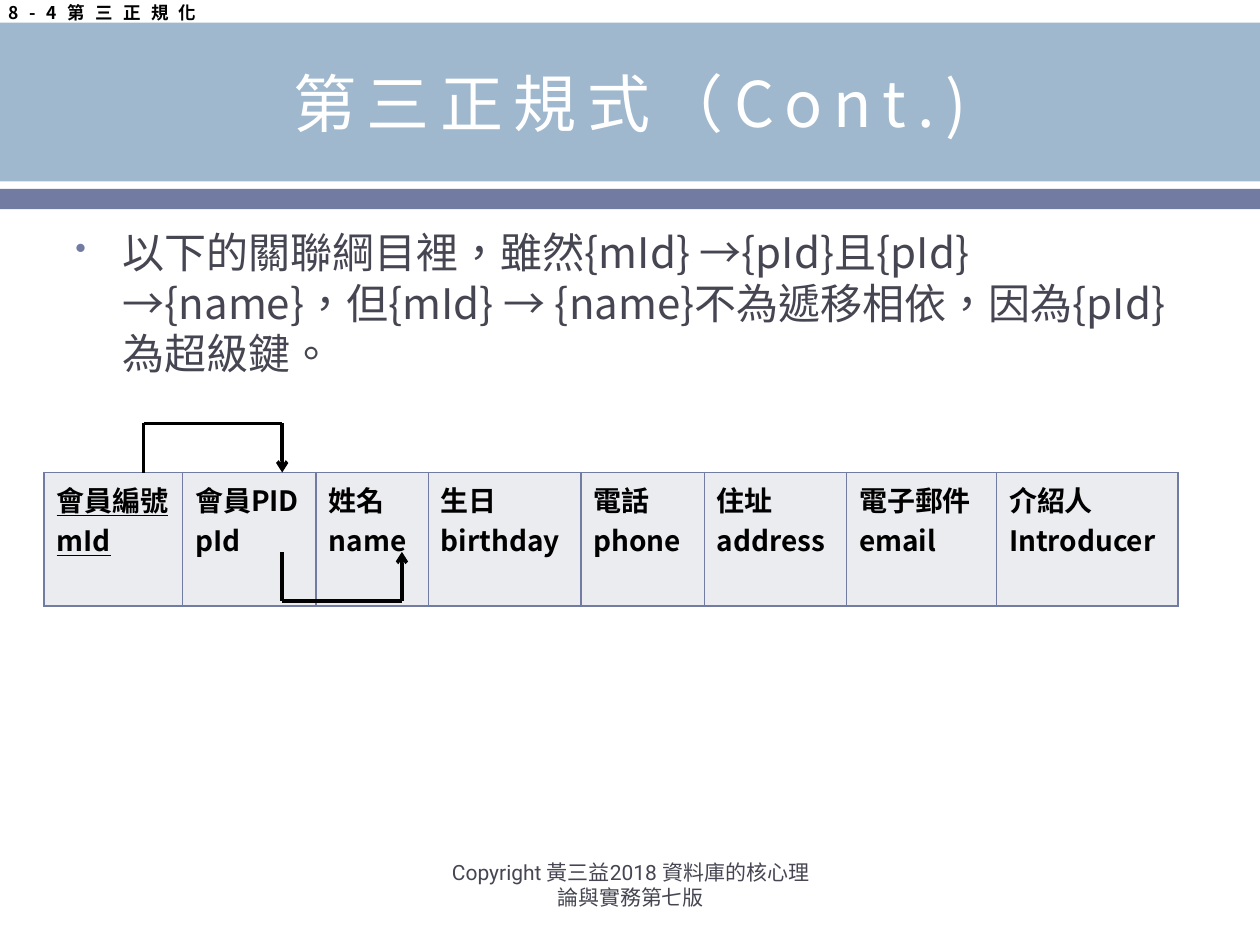
import pptx
import pptx.dml.color
import pptx.enum.shapes
import pptx.enum.text
import pptx.oxml
import pptx.oxml.ns
import pptx.util
from lxml import etree

RGBColor = pptx.dml.color.RGBColor
BLUE = RGBColor(0x9F, 0xB8, 0xCD)
INDIGO = RGBColor(0x72, 0x7C, 0xA3)
SLATE = RGBColor(0x46, 0x46, 0x53)
PALE = RGBColor(0xEB, 0xEC, 0xF0)
WHITE = RGBColor(0xFF, 0xFF, 0xFF)
BLACK = RGBColor(0, 0, 0)
CJK = "Noto Sans CJK SC"
LATIN = "Roboto"
qn = pptx.oxml.ns.qn
ALIGN = pptx.enum.text.PP_ALIGN
ANCHOR = pptx.enum.text.MSO_ANCHOR

deck = pptx.Presentation()
deck.slide_width = pptx.util.Inches(10)
deck.slide_height = pptx.util.Inches(7.5)
page = deck.slides.add_slide(deck.slide_layouts[6])

# Square grid: 100 columns by 75 rows
UNIT = deck.slide_width / 100


def grid(*cells):
    return [round(cell * UNIT) for cell in cells]


def style(font, name, size, color, bold=False, spacing=0):
    font.size = pptx.util.Pt(size)
    font.bold = bold
    font.color.rgb = color
    font.name = name
    etree.SubElement(font._element, qn("a:ea"), typeface=name)
    font._element.set("lang", "zh-TW")
    if spacing:
        font._element.set("spc", str(spacing * 100))


# Title bands
for top, height, color in ((1.8, 12.6, BLUE), (15, 1.6, INDIGO)):
    band = page.shapes.add_shape(pptx.enum.shapes.MSO_SHAPE.RECTANGLE, *grid(0, top, 100, height))
    band.shadow.inherit = False
    band.fill.solid()
    band.fill.fore_color.rgb = color
    band.line.fill.background()

# Title, section label and footer
labels = (
    ("第三正規式（Cont.)", (5, 2, 90, 12.2), CJK, 36, WHITE, False, 6, ALIGN.CENTER, ANCHOR.MIDDLE, True),
    ("8-4第三正規化", (-0.3, -0.3, 18.1, 2.7), CJK, 10, BLACK, True, 6, ALIGN.LEFT, ANCHOR.TOP, False),
    ("Copyright 黃三益2018 資料庫的核心理論與實務第七版", (34.2, 68.2, 31.7, 4),
     LATIN, 12, SLATE, False, 0, ALIGN.CENTER, ANCHOR.MIDDLE, True),
)
for text, place, name, size, color, bold, spacing, align, anchor, wrap in labels:
    frame = page.shapes.add_textbox(*grid(*place)).text_frame
    frame.word_wrap = wrap
    frame.vertical_anchor = anchor
    para = frame.paragraphs[0]
    para.text = text
    para.alignment = align
    style(para.font, name, size, color, bold, spacing)

# Bulleted statement
frame = page.shapes.add_textbox(*grid(5, 17.5, 90, 49.5)).text_frame
frame.word_wrap = True
para = frame.paragraphs[0]
properties = para._p.get_or_add_pPr()
indent = grid(3.75)[0]
properties.set("marL", str(indent))
properties.set("indent", str(-indent))
bullet_color = etree.SubElement(properties, qn("a:buClr"))
etree.SubElement(bullet_color, qn("a:srgbClr"), val=str(INDIGO))
etree.SubElement(properties, qn("a:buSzPct"), val="75000")
etree.SubElement(properties, qn("a:buChar"), char="•")
for text, name in (
    ("以下的關聯綱目裡，雖然", LATIN),
    ("{mId} →{pId}且{pId} →{name}，但{mId} → {name}不為遞移相依，因為{pId}為超級鍵。", CJK),
):
    span = para.add_run()
    span.text = text
    style(span.font, name, 24, SLATE)

# Relation schema: heading, attribute, column width
attributes = (
    ("會員編號", "mId", 11), ("會員PID", "pId", 10.6), ("姓名", "name", 8.9),
    ("生日", "birthday", 12.1), ("電話", "phone", 9.8), ("住址", "address", 11.3),
    ("電子郵件", "email", 11.9), ("介紹人", "Introducer", 14.4),
)
total = sum(width for _, _, width in attributes)
table = page.shapes.add_table(1, len(attributes), *grid(3.5, 37.5, total, 10.6)).table
table.first_row = False
table.horz_banding = False
for index, (heading, attribute, width) in enumerate(attributes):
    table.columns[index].width = grid(width)[0]
    cell = table.cell(0, index)
    cell.text = f"{heading}\n{attribute}"
    for para in cell.text_frame.paragraphs:
        style(para.font, CJK, 16, BLACK, True)
        para.font.underline = index == 0
    for side in ("a:lnL", "a:lnR", "a:lnT", "a:lnB"):
        border = etree.SubElement(cell._tc.get_or_add_tcPr(), qn(side), w="12700")
        paint = etree.SubElement(border, qn("a:solidFill"))
        etree.SubElement(paint, qn("a:srgbClr"), val=str(INDIGO))
    cell.fill.solid()
    cell.fill.fore_color.rgb = PALE

# Dependency arrows: mId to pId above the row, pId to name below
brackets = ((11.4, 22.4, 37.5, 33.6), (22.4, 31.9, 43.8, 47.7))
for start, end, row, bend in brackets:
    corners = ((start, row), (start, bend), (end, bend), (end, row))
    for step in range(3):
        line = page.shapes.add_connector(
            pptx.enum.shapes.MSO_CONNECTOR.STRAIGHT, *grid(*corners[step], *corners[step + 1]))
        line.line.color.rgb = BLACK
        line.line.width = pptx.util.Pt(2)
        if step == 2:
            etree.SubElement(line.line._get_or_add_ln(), qn("a:tailEnd"), type="arrow")
        etree.SubElement(line._element.spPr, qn("a:effectLst"))

deck.save("out.pptx")
